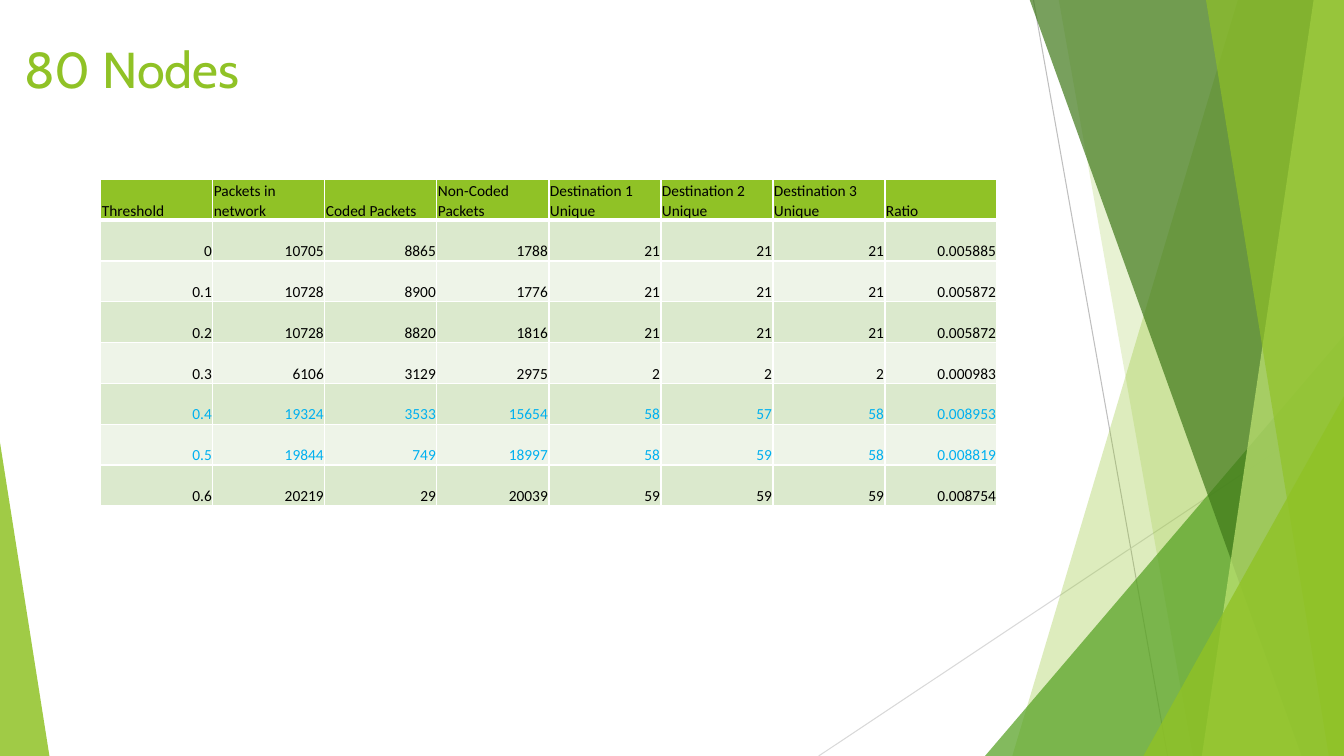
import lxml.etree
import pptx
import pptx.dml.color
import pptx.enum.shapes
import pptx.enum.text
import pptx.oxml.ns
import pptx.util

Inches = pptx.util.Inches
Pt = pptx.util.Pt
qn = pptx.oxml.ns.qn
Align = pptx.enum.text.PP_ALIGN
Anchor = pptx.enum.text.MSO_ANCHOR

WIDE, HIGH, TOP = 13.33, 7.5, -0.01
HUES = {
    "lime": "90C226", "green": "54A021", "dark": "3F7819", "pale": "C0E474",
    "gray": "BFBFBF", "mist": "D9D9D9", "white": "FFFFFF", "black": "000000",
    "blue": "00B0F0", "odd": "DBE9CD", "even": "EEF4E8",
}
HEADS = ["Threshold", "Packets in network", "Coded Packets", "Non-Coded Packets",
         "Destination 1 Unique", "Destination 2 Unique", "Destination 3 Unique", "Ratio"]
ROWS = [
    ["0", "10705", "8865", "1788", "21", "21", "21", "0.005885"],
    ["0.1", "10728", "8900", "1776", "21", "21", "21", "0.005872"],
    ["0.2", "10728", "8820", "1816", "21", "21", "21", "0.005872"],
    ["0.3", "6106", "3129", "2975", "2", "2", "2", "0.000983"],
    ["0.4", "19324", "3533", "15654", "58", "57", "58", "0.008953"],
    ["0.5", "19844", "749", "18997", "58", "59", "58", "0.008819"],
    ["0.6", "20219", "29", "20039", "59", "59", "59", "0.008754"],
]
MARKED = {"0.4", "0.5"}


def rgb(hue):
    return pptx.dml.color.RGBColor.from_string(HUES[hue])


def write(frame, text, *, size, font, hue, align=Align.LEFT):
    para = frame.paragraphs[0]
    para.alignment = align
    run = para.add_run()
    run.text = text
    run.font.size = Pt(size)
    run.font.name = font
    run.font.bold = False
    run.font.color.rgb = rgb(hue)


def edge(cell, side, width):
    """Draw a white border, width in points, on side L, R, T or B."""
    line = lxml.etree.SubElement(cell._tc.get_or_add_tcPr(), qn(f"a:ln{side}"),
                                 w=str(Pt(width)))
    fill = lxml.etree.SubElement(line, qn("a:solidFill"))
    lxml.etree.SubElement(fill, qn("a:srgbClr"), val=HUES["white"])


class Deck:
    """The slide being built, with its fonts and a method for each element."""

    title_font = "Cabin"
    cell_font = "Calibri"

    def __init__(self):
        self.show = pptx.Presentation()
        self.show.slide_width = Inches(WIDE)
        self.show.slide_height = Inches(HIGH)
        self.slide = self.show.slides.add_slide(self.show.slide_layouts[5])
        self.shapes = self.slide.shapes

    def line(self, start, end, hue):
        link = self.shapes.add_connector(
            pptx.enum.shapes.MSO_CONNECTOR.STRAIGHT,
            *(Inches(v) for v in (*start, *end)))
        link.line.color.rgb = rgb(hue)
        link.line.width = Pt(0.75)
        lxml.etree.SubElement(link._element.spPr, qn("a:effectLst"))

    def paint(self, shape, hue, alpha):
        """Fill with a colour that is alpha percent opaque, with no outline."""
        shape.shadow.inherit = False
        shape.fill.solid()
        shape.fill.fore_color.rgb = rgb(hue)
        color = next(shape._element.spPr.iter(qn("a:srgbClr")))
        lxml.etree.SubElement(color, qn("a:alpha"), val=str(alpha * 1000))
        shape.line.fill.background()

    def shard(self, top, foot, hue, alpha):
        """Fill from a slanted edge, top x to foot x, to the slide's right side."""
        spots = [(WIDE, TOP), (WIDE, HIGH), (foot, HIGH)]
        form = self.shapes.build_freeform(Inches(top), Inches(TOP), scale=1.0)
        form.add_line_segments([(Inches(x), Inches(y)) for x, y in spots], close=True)
        self.paint(form.convert_to_shape(), hue, alpha)

    def wedge(self, left, top, width, apex, hue, alpha):
        """Stand a triangle on the slide's foot, its apex a share of the width."""
        shape = self.shapes.add_shape(
            pptx.enum.shapes.MSO_SHAPE.ISOSCELES_TRIANGLE,
            *(Inches(v) for v in (left, top, width, HIGH - top)))
        shape.adjustments[0] = apex
        self.paint(shape, hue, alpha)

    def title(self, text):
        box = self.shapes.title
        box.left, box.top = Inches(0.14), Inches(0.33)
        box.width, box.height = Inches(3.99), Inches(1.45)
        box.text_frame.vertical_anchor = Anchor.TOP
        write(box.text_frame, text, size=36, font=self.title_font, hue="lime")

    def cell(self, cell, text, fill, over, under, **style):
        cell.margin_left = cell.margin_right = cell.margin_top = Inches(0.01)
        cell.margin_bottom = 0
        cell.vertical_anchor = Anchor.BOTTOM
        for side, width in zip("LRTB", (1, 1, over, under)):
            edge(cell, side, width)
        cell.fill.solid()
        cell.fill.fore_color.rgb = rgb(fill)
        write(cell.text_frame, text, size=11, font=self.cell_font, **style)

    def table(self, heads, rows, left, top, width, height):
        count = len(rows) + 1
        grid = self.shapes.add_table(
            count, len(heads),
            *(Inches(v) for v in (left, top, width, height))).table
        for col in grid.columns:
            col.width = Inches(width / len(heads))
        for row in grid.rows:
            row.height = Inches(height / count)
        for c, text in enumerate(heads):
            self.cell(grid.cell(0, c), text, "lime", 1, 3, hue="black")
        for r, row in enumerate(rows, 1):
            hue = "blue" if row[0] in MARKED else "black"
            for c, text in enumerate(row):
                self.cell(grid.cell(r, c), text, "odd" if r % 2 else "even",
                          3 if r == 1 else 1, 1, hue=hue, align=Align.RIGHT)


def main():
    deck = Deck()
    deck.line((10.25, 0), (11.58, HIGH), "gray")
    deck.line((WIDE, 4.03), (8.12, HIGH), "mist")
    deck.shard(12.28, 10.04, "lime", 30)
    deck.shard(10.5, 11.83, "lime", 20)
    deck.wedge(9.77, 3.33, 3.56, 1, "green", 72)
    deck.shard(10.21, 12.91, "dark", 70)
    deck.shard(13.03, 11.92, "pale", 70)
    deck.shard(11.96, 13.18, "lime", 65)
    deck.wedge(11.34, 3.93, 1.99, 1, "lime", 80)
    deck.wedge(0, 4.39, 0.49, 0, "lime", 85)
    deck.title("80 Nodes")
    deck.table(HEADS, ROWS, 1, 1.78, 8.89, 3.24)
    deck.show.save("out.pptx")


if __name__ == "__main__":
    main()
